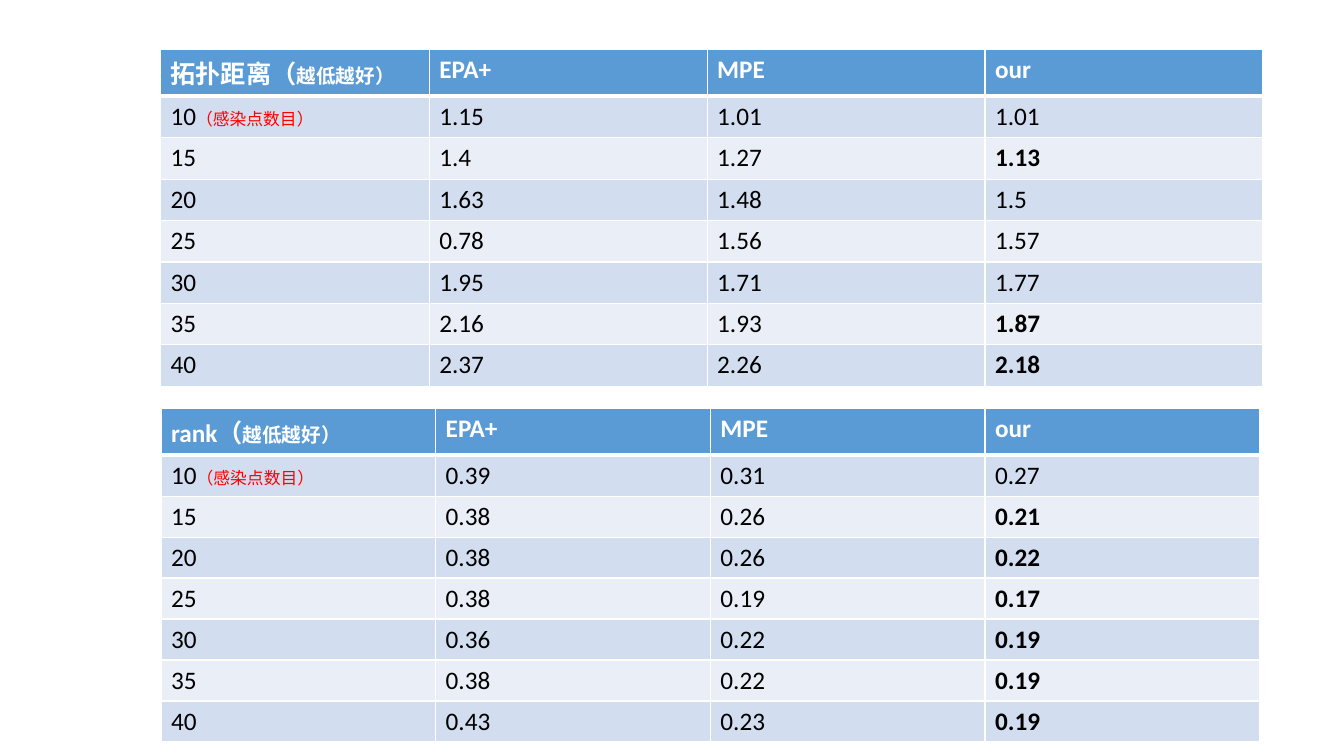
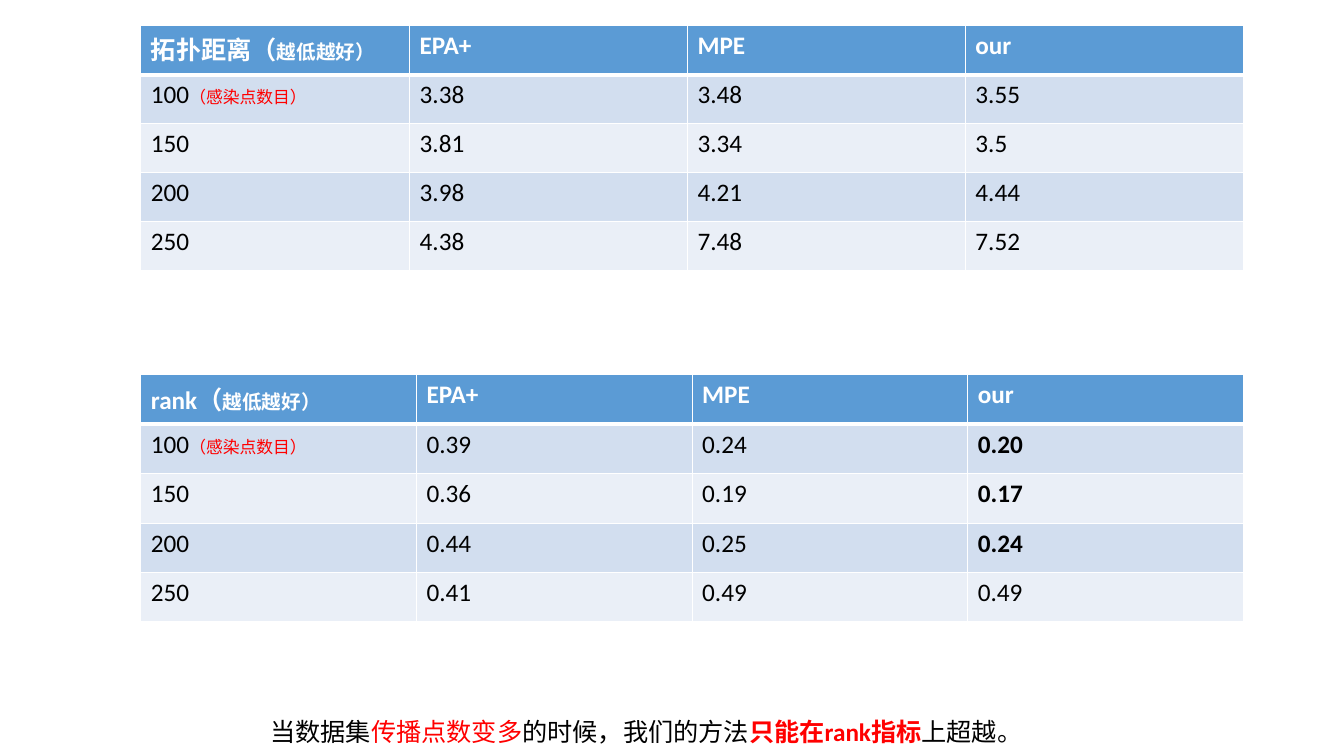
from lxml import etree
from pptx import Presentation
from pptx.dml.color import RGBColor
from pptx.enum import lang, text
from pptx.oxml import ns
from pptx.util import Pt

# Shared style
WHITE = RGBColor(0xFF, 0xFF, 0xFF)
BLACK = RGBColor(0x00, 0x00, 0x00)
RED = RGBColor(0xFF, 0x00, 0x00)
HEADER_BLUE = RGBColor(0x5B, 0x9B, 0xD5)
BAND_DARK = RGBColor(0xD2, 0xDE, 0xEF)
BAND_LIGHT = RGBColor(0xEA, 0xEF, 0xF7)

BASE = {"name": "Calibri", "size": Pt(18), "bold": False,
        "language_id": lang.MSO_LANGUAGE_ID.SIMPLIFIED_CHINESE}
HEADER = {"bold": True, "color": WHITE}
HEADER_NOTE = {**HEADER, "size": Pt(14)}
RED_NOTE = {"size": Pt(12), "color": RED}

METHODS = ["EPA+", "MPE", "our"]


class Deck:
    """Holds the style and the current slide."""

    def __init__(self):
        self.presentation = Presentation()
        self.presentation.slide_width = Pt(960)
        self.presentation.slide_height = Pt(540)
        self.slide = None

    def add_slide(self):
        blank_layout = self.presentation.slide_layouts[6]
        self.slide = self.presentation.slides.add_slide(blank_layout)

    def add_runs(self, paragraph, runs):
        for content, changes in runs:
            run = paragraph.add_run()
            run.text = content
            values = {"color": BLACK, **BASE, **changes}
            run.font.color.rgb = values.pop("color")
            for name, value in values.items():
                setattr(run.font, name, value)

    def add_border(self, cell, side, width):
        properties = cell._tc.get_or_add_tcPr()
        line = etree.SubElement(properties, ns.qn(f"a:ln{side}"), w=str(Pt(width)))
        fill = etree.SubElement(line, ns.qn("a:solidFill"))
        etree.SubElement(fill, ns.qn("a:srgbClr"), val=str(WHITE))

    def add_cell(self, cell, row, runs):
        # Borders come before the fill in the cell properties
        widths = {"L": 1, "R": 1, "T": 3 if row == 1 else 1, "B": 3 if row == 0 else 1}
        for side, width in widths.items():
            self.add_border(cell, side, width)
        cell.fill.solid()
        band = BAND_DARK if row % 2 else BAND_LIGHT
        cell.fill.fore_color.rgb = HEADER_BLUE if row == 0 else band
        self.add_runs(cell.text_frame.paragraphs[0], runs)

    def add_results(self, metric, results, bold_rows, left, top, width,
                    first_width, header_height, row_height):
        """Draw a table of method scores; bold_rows mark where ours is bold."""
        height = header_height + row_height * len(results)
        frame = self.slide.shapes.add_table(
            len(results) + 1, len(METHODS) + 1,
            Pt(left), Pt(top), Pt(width), Pt(height))
        table = frame.table

        # Column and row sizes
        method_width = (width - first_width) / len(METHODS)
        for index, column in enumerate(table.columns):
            column.width = Pt(method_width if index else first_width)
        for index, table_row in enumerate(table.rows):
            table_row.height = Pt(row_height if index else header_height)

        # Header and score rows
        rows = [[[(metric + "（", HEADER), ("越低越好）", HEADER_NOTE)]]
                + [[(method, HEADER)] for method in METHODS]]
        for count, scores in results.items():
            *others, ours = scores.split()
            rows.append([[(str(count), {})]]
                        + [[(score, {})] for score in others]
                        + [[(ours, {"bold": count in bold_rows})]])
        rows[1][0].append(("（感染点数目）", RED_NOTE))
        for row, cells in enumerate(rows):
            for column, runs in enumerate(cells):
                self.add_cell(table.cell(row, column), row, runs)

    def add_text(self, runs, left, top, width, height):
        box = self.slide.shapes.add_textbox(Pt(left), Pt(top), Pt(width), Pt(height))
        box.text_frame.word_wrap = True
        box.text_frame.auto_size = text.MSO_AUTO_SIZE.SHAPE_TO_FIT_TEXT
        self.add_runs(box.text_frame.paragraphs[0], runs)


def main():
    deck = Deck()

    # Slide 1: few infected nodes
    deck.add_slide()
    deck.add_results(
        "拓扑距离",
        {10: "1.15 1.01 1.01", 15: "1.4 1.27 1.13", 20: "1.63 1.48 1.5",
         25: "0.78 1.56 1.57", 30: "1.95 1.71 1.77", 35: "2.16 1.93 1.87",
         40: "2.37 2.26 2.18"},
        bold_rows={15, 35, 40}, left=114.6, top=35.5, width=787.5,
        first_width=192, header_height=30.4, row_height=29.6)
    deck.add_results(
        "rank",
        {10: "0.39 0.31 0.27", 15: "0.38 0.26 0.21", 20: "0.38 0.26 0.22",
         25: "0.38 0.19 0.17", 30: "0.36 0.22 0.19", 35: "0.38 0.22 0.19",
         40: "0.43 0.23 0.19"},
        bold_rows={15, 20, 25, 30, 35, 40}, left=115, top=291.8, width=784.8,
        first_width=196.2, header_height=29.3, row_height=29.3)

    # Slide 2: many infected nodes
    deck.add_slide()
    deck.add_results(
        "拓扑距离",
        {100: "3.38 3.48 3.55", 150: "3.81 3.34 3.5",
         200: "3.98 4.21 4.44", 250: "4.38 7.48 7.52"},
        bold_rows=set(), left=100.6, top=18.2, width=787.5,
        first_width=192, header_height=35.2, row_height=35)
    deck.add_results(
        "rank",
        {100: "0.39 0.24 0.20", 150: "0.36 0.19 0.17",
         200: "0.44 0.25 0.24", 250: "0.41 0.49 0.49"},
        bold_rows={100, 150, 200}, left=100.6, top=267.8, width=787.6,
        first_width=196.9, header_height=35.3, row_height=35.3)
    deck.add_text(
        [("当数据集", {}), ("传播点数变多", {"color": RED}),
         ("的时候，我们的方法", {}),
         ("只能在rank指标", {"color": RED, "bold": True}), ("上超越。", {})],
        left=186, top=508.4, width=577.5, height=29)

    deck.presentation.save("out.pptx")


if __name__ == "__main__":
    main()
